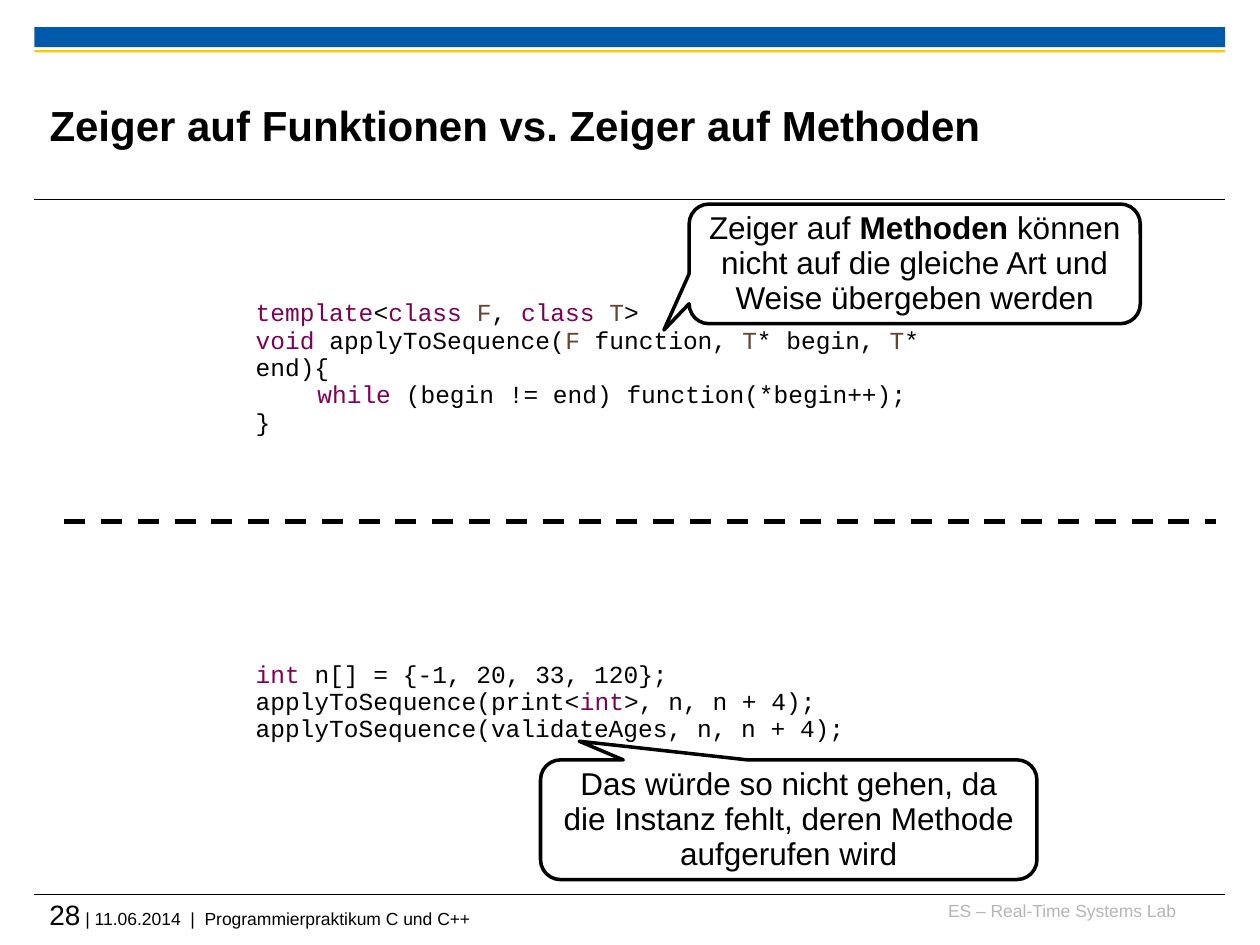
import pptx
import pptx.dml.color
import pptx.enum.dml
import pptx.enum.shapes
import pptx.enum.text
import pptx.oxml.ns
import pptx.util
import lxml.etree

Pt = pptx.util.Pt
Shape = pptx.enum.shapes.MSO_SHAPE
Align = pptx.enum.text.PP_ALIGN
Anchor = pptx.enum.text.MSO_ANCHOR
AutoSize = pptx.enum.text.MSO_AUTO_SIZE

COLOURS = {
    "black": "000000", "white": "FFFFFF", "blue": "005AA9", "yellow": "FDCA00",
    "grey": "B5B5B5", "keyword": "7F0055", "type": "644632",
}


def colour(name):
    """Return the named colour as an RGBColor."""
    return pptx.dml.color.RGBColor.from_string(COLOURS[name])


def write(frame, paragraphs, size=18, font="Arial", ink="black", align=Align.LEFT,
          spacing=None, margins=(7.2, 3.6), anchor=Anchor.TOP, grow=False):
    """Fill a text frame; each paragraph is a list of (text, overrides) runs."""
    frame.word_wrap = True
    frame.auto_size = AutoSize.SHAPE_TO_FIT_TEXT if grow else AutoSize.NONE
    frame.vertical_anchor = anchor
    frame.margin_left = frame.margin_right = Pt(margins[0])
    frame.margin_top = frame.margin_bottom = Pt(margins[1])
    for index, runs in enumerate(paragraphs):
        paragraph = frame.add_paragraph() if index else frame.paragraphs[0]
        paragraph.alignment = align
        if spacing:
            paragraph.line_spacing = spacing
        for text, style in runs:
            run = paragraph.add_run()
            run.text = text
            run.font.name = style.get("font", font)
            run.font.size = Pt(style.get("size", size))
            run.font.bold = style.get("bold", False)
            run.font.color.rgb = colour(style.get("ink", ink))


def keyword(text):
    """Return a run coloured as a language keyword."""
    return text, {"ink": "keyword"}


def type_name(text):
    """Return a run coloured as a template type."""
    return text, {"ink": "type"}


def plain(text):
    """Return a run without overrides."""
    return text, {}


class LectureSlide:
    """Holds the current slide and the style of its elements."""

    line_spacing = 0.93
    no_margins = (0, 0)

    def __init__(self, presentation):
        """Add a title-only slide."""
        self.slide = presentation.slides.add_slide(presentation.slide_layouts[5])
        self.shapes = self.slide.shapes

    def title(self, text, left, top, width, height):
        """Place and format the title placeholder."""
        title = self.shapes.title
        title.left, title.top, title.width, title.height = map(Pt, (left, top, width, height))
        write(title.text_frame, [[plain(text)]][0:1], size=24, margins=self.no_margins,
              anchor=Anchor.MIDDLE)
        title.text_frame.paragraphs[0].runs[0].font.bold = True

    def bar(self, top, height, fill):
        """Draw a header bar across the slide."""
        bar = self.shapes.add_shape(Shape.RECTANGLE, Pt(19.7), Pt(top), Pt(680.4), Pt(height))
        bar.shadow.inherit = False
        bar.fill.solid()
        bar.fill.fore_color.rgb = colour(fill)
        bar.line.fill.background()

    def rule(self, left, right, y, width=0.6, dashed=False):
        """Draw a horizontal line."""
        rule = self.shapes.add_connector(pptx.enum.shapes.MSO_CONNECTOR.STRAIGHT,
                                         Pt(left), Pt(y), Pt(right), Pt(y))
        rule.line.width = Pt(width)
        rule.line.color.rgb = colour("black")
        if dashed:
            rule.line.dash_style = pptx.enum.dml.MSO_LINE.DASH
        lxml.etree.SubElement(rule._element.spPr, pptx.oxml.ns.qn("a:effectLst"))

    def text(self, paragraphs, left, top, width, height, **style):
        """Add a text box and return its text frame."""
        box = self.shapes.add_textbox(Pt(left), Pt(top), Pt(width), Pt(height))
        write(box.text_frame, paragraphs, **style)
        return box.text_frame

    def code(self, lines, top, width, height):
        """Add a code listing and return its text frame."""
        return self.text(lines, 139, top, width, height, size=14, font="Courier New",
                         spacing=self.line_spacing, grow=True)

    def callout(self, runs, left, top, width, tip):
        """Add a rounded speech bubble with its tip at relative offsets."""
        bubble = self.shapes.add_shape(Shape.ROUNDED_RECTANGULAR_CALLOUT,
                                       Pt(left), Pt(top), Pt(width), Pt(68.4))
        bubble.shadow.inherit = False
        bubble.adjustments[0], bubble.adjustments[1] = tip
        bubble.fill.solid()
        bubble.fill.fore_color.rgb = colour("white")
        bubble.line.color.rgb = colour("black")
        bubble.line.width = Pt(2)
        write(bubble.text_frame, [runs], align=Align.CENTER, anchor=Anchor.MIDDLE,
              spacing=self.line_spacing)


def build():
    """Build and save the presentation."""
    presentation = pptx.Presentation()
    presentation.slide_width, presentation.slide_height = Pt(720), Pt(540)
    page = LectureSlide(presentation)

    page.rule(19.7, 700.1, 511)
    page.bar(15.5, 11.5, "blue")
    page.rule(19.7, 700.1, 114.2)
    page.bar(28.6, 1.4, "yellow")
    page.text([[plain("ES – Real-Time Systems Lab")]], 530, 514, 142, 18, size=10,
              ink="grey", align=Align.RIGHT, margins=page.no_margins)
    page.text([[("28", {"size": 16}),
                plain(" | 11.06.2014  |  Programmierpraktikum C und C++")]],
              28.3, 512.8, 671.8, 23.8, size=10, margins=page.no_margins)
    page.title("Zeiger auf Funktionen vs. Zeiger auf Methoden", 28.3, 38, 541.4, 66.2)

    template = page.code([
        [keyword("template"), plain("<"), keyword("class "), type_name("F"), plain(", "),
         keyword("class "), type_name("T"), plain(">")],
        [keyword("void"), plain(" applyToSequence("), type_name("F"), plain(" function, "),
         type_name("T"), plain("* begin, "), type_name("T"), plain("* end){")],
        [keyword("while"), plain(" (begin != end) function(*begin++);")],
        [plain("}")],
    ], 167.8, 414, 70.6)
    loop_body = template.paragraphs[2]._p.get_or_add_pPr()
    loop_body.set("marL", str(int(Pt(35.3))))
    loop_body.set("indent", "0")

    page.code([
        [keyword("int"), plain(" n[] = {-1, 20, 33, 120};")],
        [plain("applyToSequence(print<"), keyword("int"), plain(">, n, n + 4);")],
        [plain("applyToSequence(validateAges, n, n + 4);")],
    ], 374.4, 360, 54.7)
    page.rule(36.7, 694.8, 298.1, width=3, dashed=True)

    page.callout([plain("Zeiger auf "), ("Methoden", {"bold": True}),
                  plain(" können nicht auf die gleiche Art und Weise übergeben werden")],
                 393.8, 116.6, 257.8, (-0.556, 0.553))
    page.callout([plain("Das würde so nicht gehen, da die Instanz fehlt, "
                        "deren Methode aufgerufen wird")],
                 308.9, 434.2, 283.7, (-0.422, -0.656))

    presentation.save("out.pptx")


build()
